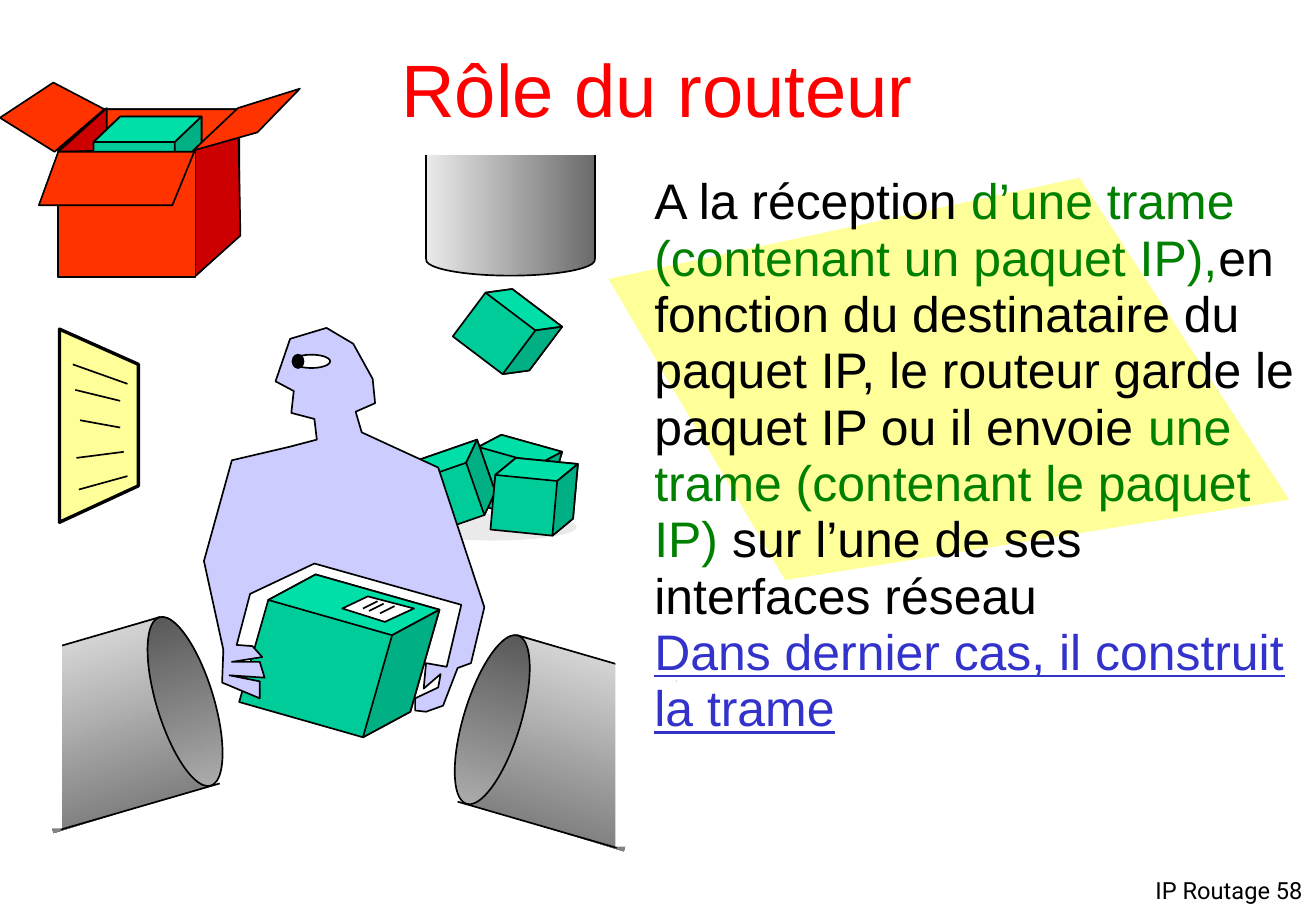
from lxml import etree
from pptx import Presentation
from pptx.dml.color import RGBColor
from pptx.enum.shapes import MSO_CONNECTOR, MSO_SHAPE
from pptx.enum.text import MSO_ANCHOR, MSO_AUTO_SIZE, PP_ALIGN
from pptx.oxml.ns import qn
from pptx.util import Inches, Pt

RECT, OVAL = MSO_SHAPE.RECTANGLE, MSO_SHAPE.OVAL
STRAIGHT = MSO_CONNECTOR.STRAIGHT
LEFT, CENTER, RIGHT = PP_ALIGN.LEFT, PP_ALIGN.CENTER, PP_ALIGN.RIGHT
TOP, MIDDLE = MSO_ANCHOR.TOP, MSO_ANCHOR.MIDDLE
NO_FIT = MSO_AUTO_SIZE.NONE

COLORS = {
    "black": "000000", "white": "FFFFFF", "red": "FF0000", "green": "008000",
    "blue": "3333CC", "yellow": "FFFF99", "shadow": "EAEAEA", "skin": "CCCCFF",
    "light": "EAEAEA", "dark": "6B6B6B", "rim": "B2B2B2", "hollow": "525252",
    "teal": "00CC99", "teal top": "00DFA7", "teal side": "00AF83",
    "carton": "FF3300", "carton top": "FF3700", "carton side": "DB2B00",
    "carton inside": "CC0000",
}
TEAL = ("teal", "teal top", "teal side")
CARTON = ("carton", "carton top", "carton side")


def rgb(name):
    return RGBColor.from_string(COLORS[name])


class Drawing:
    def __init__(self, slide):
        self.s = slide

    def paint(self, sp, fill, line="black", width=1):
        """fill is a colour name, or (first, last, angle) for a gradient."""
        sp.shadow.inherit = False
        if isinstance(fill, tuple):
            sp.fill.gradient()
            sp.fill.gradient_angle = fill[2]
            for stop, name, pos in zip(sp.fill.gradient_stops, fill, (0, 1)):
                stop.color.rgb = rgb(name)
                stop.position = pos
        else:
            sp.fill.solid()
            sp.fill.fore_color.rgb = rgb(fill)
        if line:
            sp.line.color.rgb = rgb(line)
            sp.line.width = Pt(width)
        else:
            sp.line.fill.background()

    def shape(self, kind, x, y, w, h, fill, line="black", rotation=0):
        sp = self.s.shapes.add_shape(kind, Inches(x), Inches(y), Inches(w), Inches(h))
        sp.rotation = rotation
        self.paint(sp, fill, line)

    def polygon(self, points, fill, line="black", width=1):
        pts = [(Inches(x), Inches(y)) for x, y in points]
        builder = self.s.shapes.build_freeform(*pts[0], scale=1.0)
        builder.add_line_segments(pts[1:], close=True)
        self.paint(builder.convert_to_shape(), fill, line, width)

    def line(self, x1, y1, x2, y2):
        cn = self.s.shapes.add_connector(
            STRAIGHT, Inches(x1), Inches(y1), Inches(x2), Inches(y2))
        cn.line.color.rgb = rgb("black")
        cn.line.width = Pt(1)
        etree.SubElement(cn.element.spPr, qn("a:effectLst"))

    def box(self, base, corner, back, right, colors):
        """Parallel-sided box, from its front base, front top, back top and right base."""
        def shift(p, a, b):
            return p[0] + b[0] - a[0], p[1] + b[1] - a[1]
        inner = shift(corner, base, right)
        far = shift(back, base, right)
        low = shift(far, corner, base)
        front, top, side = colors
        self.polygon([base, corner, back, far, low, right], front)
        self.polygon([corner, back, far, inner], top)
        self.polygon([right, inner, far, low], side)

    def pipe(self, mirrored):
        """Tilted pipe; the right one is the left one mirrored and lowered."""
        dy, rotation = (0.15, 17) if mirrored else (0, 343)

        def flip(x, w=0):
            return 5.58 - x - w if mirrored else x
        self.shape(RECT, flip(0.2, 1.37), 5.24 + dy, 1.37, 1.45,
                   ("dark", "light", 90), None, rotation)
        self.shape(OVAL, flip(1.29, 0.47), 5.05 + dy, 0.47, 1.45,
                   ("rim", "hollow", 90), "black", rotation)
        for x1, y1, x2, y2 in ((0.01, 5.46, 1.32, 5.08), (0.5, 6.83, 1.81, 6.45)):
            self.line(flip(x1), y1 + dy, flip(x2), y2 + dy)
        self.shape(RECT, flip(0.01, 0.5), 5.27 + dy, 0.5, 1.55, "white", None)

    def text(self, sp, at, paragraphs, size, font="Arial", align=LEFT,
             anchor=TOP, spacing=0.96, indent=0):
        sp.left, sp.top, sp.width, sp.height = map(Inches, at)
        sp.element.getparent().append(sp.element)  # bring to front
        tf = sp.text_frame
        tf.word_wrap, tf.auto_size, tf.vertical_anchor = True, NO_FIT, anchor
        for i, runs in enumerate(paragraphs):
            p = tf.add_paragraph() if i else tf.paragraphs[0]
            pPr = p._p.get_or_add_pPr()
            pPr.set("marL", str(Inches(indent)))
            pPr.set("indent", "0")
            etree.SubElement(pPr, qn("a:buNone"))
            p.alignment, p.line_spacing, p.space_before = align, spacing, Pt(0)
            for words, color in runs:
                r = p.add_run()
                r.text = words
                r.font.name, r.font.size = font, Pt(size)
                r.font.color.rgb = rgb(color)
                if color == "blue":
                    r.font.underline = True


def main():
    prs = Presentation()
    prs.slide_width, prs.slide_height = Inches(10.84), Inches(7.5)
    s = prs.slides.add_slide(prs.slide_layouts[1])
    d = Drawing(s)

    # Footer, backdrop and title
    d.text(s.shapes.add_textbox(0, 0, 0, 0), (8.96, 7.18, 1.87, 0.36),
           [[("IP Routage 58", "black")]], 14, "Roboto", RIGHT)
    d.polygon([(5.02, 2.3), (8.89, 1.47), (10.61, 4.11), (6.47, 4.77)],
              "yellow", "yellow", 0.75)
    d.shape(OVAL, 3.38, 4.23, 1.37, 0.22, "shadow", None)
    d.text(s.shapes.title, (0.81, 0.21, 9.21, 1.09),
           [[("Rôle du routeur", "red")]], 44, align=CENTER, anchor=MIDDLE)

    # Parcel in hand, with its label
    d.box((1.97, 5.78), (2.21, 4.94), (2.6, 4.73), (2.99, 6.07), TEAL)
    d.polygon([(2.82, 5.01), (3.03, 4.91), (3.41, 5.01), (3.17, 5.12)], "white")
    for x, y in ((2.99, 5.01), (3.04, 5.03), (3.13, 5.05)):
        d.line(x, y, x + 0.12, y - 0.06)

    # Pile of parcels and the falling one
    for corners in (
        ((3.81, 4.12), (3.94, 3.68), (4.13, 3.58), (4.31, 4.26)),
        ((3.5, 4.41), (3.35, 3.98), (3.44, 3.79), (3.99, 4.24)),
        ((4.04, 4.36), (4.08, 3.91), (4.25, 3.77), (4.55, 4.41)),
        ((3.73, 2.77), (4, 2.41), (4.22, 2.38), (4.14, 3.08)),
    ):
        d.box(*corners, TEAL)

    # Upright pipe
    steel = ("light", "dark", 0)
    d.shape(OVAL, 3.51, 2.01, 1.39, 0.26, steel)
    d.shape(RECT, 3.51, 1.28, 1.39, 0.85, steel, None)
    for x in (3.51, 4.9):
        d.line(x, 2.13, x, 1.28)

    # Routing notice
    d.polygon([(0.49, 4.3), (0.49, 2.71), (1.14, 3), (1.14, 4)], "yellow", width=2)
    for ends in ((0.6, 3, 1.05, 3.16), (0.62, 3.21, 0.99, 3.3), (0.66, 3.46, 0.99, 3.52),
                 (0.63, 3.77, 1.02, 3.72), (0.65, 4.03, 1.05, 3.92)):
        d.line(*ends)

    # Worker between the two tilted pipes
    d.pipe(mirrored=False)
    d.polygon([
        (2.69, 2.7), (2.39, 2.79), (2.27, 3.14), (2.42, 3.22), (2.4, 3.4), (2.59, 3.45),
        (2.61, 3.62), (2.38, 3.68), (1.91, 3.79), (1.68, 4.62), (1.84, 5.35), (1.83, 5.62),
        (2.14, 5.75), (2.14, 5.61), (1.89, 5.56), (2.18, 5.58), (2.14, 5.45), (1.91, 5.45),
        (2.16, 5.41), (2.08, 5.32), (1.95, 5.31), (2.06, 4.89), (2.59, 4.64), (3.8, 4.98),
        (3.68, 5.49), (3.51, 5.46), (3.49, 5.67), (3.63, 5.55), (3.61, 5.66), (3.42, 5.75),
        (3.42, 5.85), (3.51, 5.86), (3.65, 5.81), (3.77, 5.5), (3.88, 5.46), (3.99, 5),
        (3.61, 3.85), (2.98, 3.56), (2.93, 3.39), (3.09, 3.32), (3.07, 3.12), (2.91, 2.83),
    ], "skin")
    d.shape(OVAL, 2.41, 2.92, 0.31, 0.11, "white")
    d.shape(OVAL, 2.41, 2.92, 0.09, 0.11, "black")
    d.pipe(mirrored=True)

    # Explanation
    d.text(s.placeholders[1], (4.87, 1.39, 5.97, 5.75), [
        [("A la réception ", "black"),
         ("d’une trame (contenant un paquet IP),", "green"),
         ("en fonction du destinataire du paquet IP, le routeur garde le "
          "paquet IP ou il envoie ", "black"),
         ("une trame (contenant le paquet IP) ", "green"),
         ("sur l’une de ses interfaces réseau", "black")],
        [("Dans dernier cas, il construit la trame", "blue")],
    ], 29.6, spacing=0.94, indent=0.42)

    # Open carton with a parcel inside, then its flaps and front
    d.box((0.48, 2.28), (0.48, 1.24), (0.85, 0.9), (1.6, 2.28), CARTON)
    d.polygon([(0.48, 1.25), (0.88, 0.89), (0.88, 1.24)], "carton inside")
    d.box((0.77, 1.79), (0.77, 1.17), (0.99, 0.96), (1.44, 1.79), TEAL)
    d.polygon([(0.86, 0.9), (0.44, 0.68), (0, 0.97), (0.45, 1.25)], "carton")
    d.polygon([(1.6, 2.28), (1.98, 1.94), (1.96, 0.9), (1.59, 1.25)], "carton inside")
    d.polygon([(1.59, 1.24), (1.96, 0.89), (2.47, 0.73), (2.12, 1.09)], "carton")
    d.shape(RECT, 0.48, 1.25, 1.13, 1.03, "carton")
    d.polygon([(0.48, 1.25), (0.32, 1.69), (1.42, 1.69), (1.6, 1.25)], "carton")

    prs.save("out.pptx")


if __name__ == "__main__":
    main()
